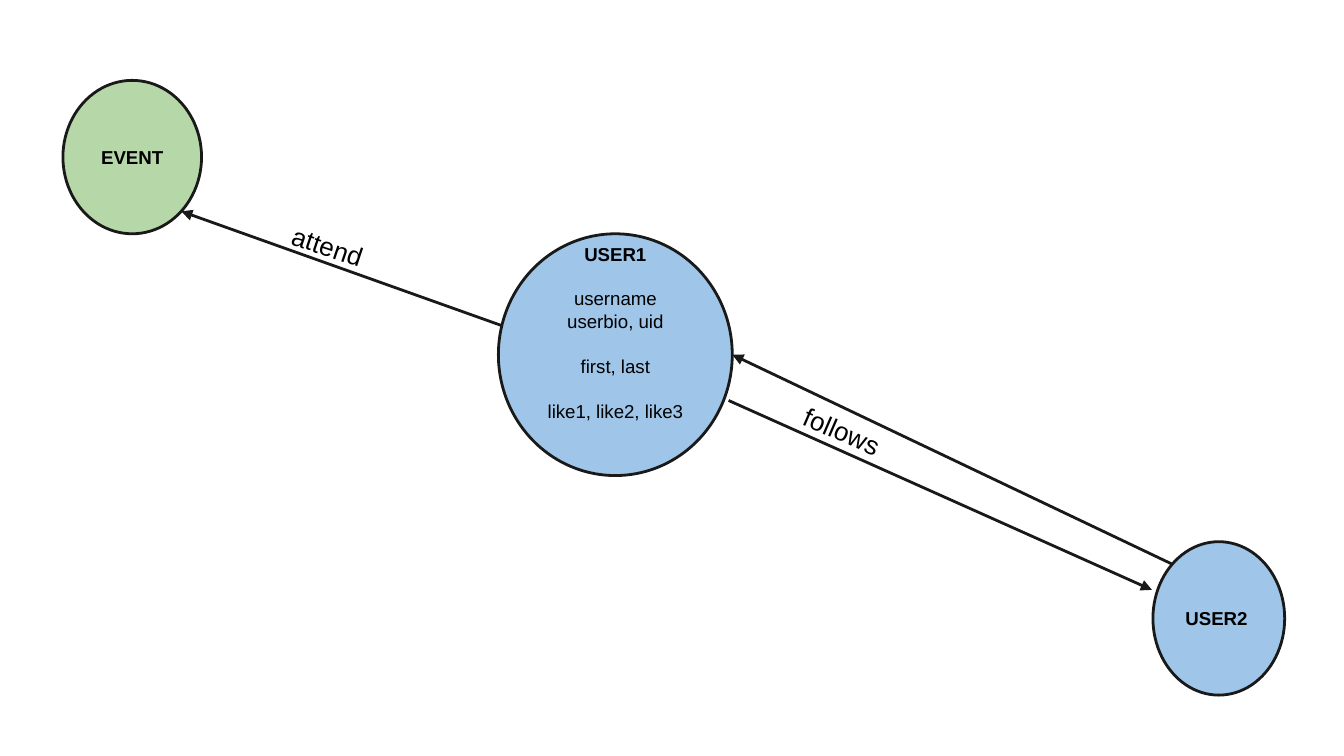
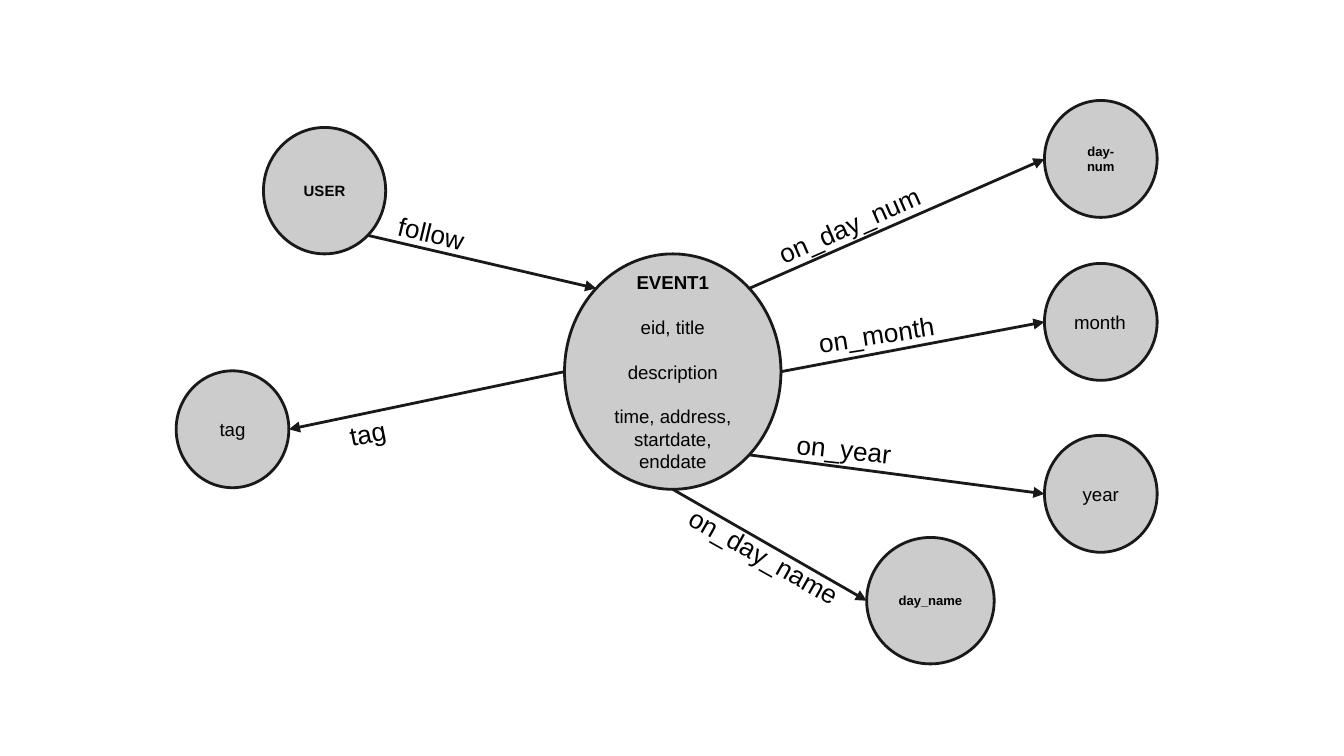
from dataclasses import dataclass
from math import cos, radians, sin

from pptx import Presentation
from pptx.dml.color import RGBColor as Color
from pptx.enum.shapes import MSO_CONNECTOR as Wire, MSO_SHAPE as Form
from pptx.enum.text import MSO_ANCHOR as Anchor, PP_ALIGN as Align
from pptx.oxml.ns import qn
from pptx.oxml.xmlchemy import OxmlElement as Tag
from pptx.util import Cm, Pt


@dataclass(frozen=True)
class Theme:
    font: str = "Arial"
    ink: str = "000000"
    edge: str = "191919"
    blue: str = "9FC5E8"
    green: str = "B6D7A8"
    gray: str = "CCCCCC"
    label: int = 14
    body: int = 10
    small: int = 8
    tiny: int = 7
    gap: int = 12
    stroke: float = 1.5
    inset: float = 0.25


@dataclass(frozen=True)
class Node:
    left: float
    top: float
    width: float
    height: float

    def rim(self, angle):
        turn = radians(angle)
        return (self.left + self.width * (1 + cos(turn)) / 2,
                self.top + self.height * (1 + sin(turn)) / 2)


RIGHT, LOW_RIGHT, BOTTOM, LEFT, TOP_LEFT, TOP_RIGHT = 0, 45, 90, 180, 225, 315


def write(frame, text, *, theme, size, bold=False, align=Align.CENTER,
          anchor=Anchor.MIDDLE, foot=0):
    frame.word_wrap = True
    frame.vertical_anchor = anchor
    frame.margin_left = frame.margin_right = frame.margin_top = Cm(theme.inset)
    frame.margin_bottom = Cm(theme.inset + foot)
    first = True
    for block in text.split("\n\n"):
        for row, line in enumerate(block.split("\n")):
            para = frame.paragraphs[0] if first else frame.add_paragraph()
            para.alignment = align
            if row == 0 and not first:
                para.space_before = Pt(theme.gap)
            run = para.add_run()
            run.text = line
            run.font.name = theme.font
            run.font.size = Pt(size)
            run.font.bold = bold and first
            run.font.color.rgb = Color.from_string(theme.ink)
            first = False


class Board:
    def __init__(self, deck, theme):
        self.deck = deck
        self.theme = theme
        self.slide = None

    def page(self):
        self.slide = self.deck.slides.add_slide(self.deck.slide_layouts[6])

    def trace(self, line):
        line.color.rgb = Color.from_string(self.theme.edge)
        line.width = Pt(self.theme.stroke)

    def node(self, text, box, fill, size=None, **style):
        shape = self.slide.shapes.add_shape(Form.OVAL, *map(Cm, box))
        shape.shadow.inherit = False
        shape.fill.solid()
        shape.fill.fore_color.rgb = Color.from_string(fill)
        self.trace(shape.line)
        write(shape.text_frame, text, theme=self.theme,
              size=size or self.theme.body, **style)
        return Node(*box)

    def arrow(self, start, end):
        wire = self.slide.shapes.add_connector(
            Wire.STRAIGHT, *map(Cm, start + end))
        self.trace(wire.line)
        props = wire.element.spPr
        head = Tag("a:tailEnd")
        head.set("type", "triangle")
        props.find(qn("a:ln")).append(head)
        props.append(Tag("a:effectLst"))

    def label(self, text, left, top, turn, width=4.83, height=0.58):
        box = self.slide.shapes.add_textbox(*map(Cm, (left, top, width, height)))
        box.rotation = turn
        write(box.text_frame, text, theme=self.theme, size=self.theme.label,
              align=Align.LEFT, anchor=Anchor.TOP)


def draw_users(board):
    theme = board.theme
    board.page()
    main = board.node(
        "USER1\n\nusername\nuserbio, uid\n\nfirst, last\n\nlike1, like2, like3",
        (9.42, 4.42, 4.42, 4.57), theme.blue, bold=True, foot=0.85)
    other = board.node("USER2", (21.79, 10.24, 2.49, 2.9), theme.blue,
                       bold=True, align=Align.LEFT)
    event = board.node("EVENT", (1.19, 1.52, 2.62, 2.9), theme.green, bold=True)

    board.arrow((13.77, 7.57), (21.77, 11.15))
    board.arrow(other.rim(TOP_LEFT), main.rim(RIGHT))
    board.arrow((9.47, 6.15), event.rim(LOW_RIGHT))
    board.label("follows", 14.86, 8.41, 23.5, width=5.94, height=0.51)
    board.label("attend", 5.23, 4.78, 18.6, width=6.05)


def draw_event(board):
    theme = board.theme
    gray = theme.gray
    side, wide, high = 19.74, 2.13, 2.21
    board.page()
    event = board.node(
        "EVENT1\n\neid, title\n\ndescription\n\ntime, address, startdate, enddate",
        (10.67, 4.8, 4.09, 4.45), gray, bold=True)
    user = board.node("USER", (4.98, 2.41, 2.31, 2.39), gray, theme.small,
                      bold=True)
    day = board.node("day-num", (side, 1.9, wide, high), gray, theme.tiny,
                     bold=True)
    tag = board.node("tag", (3.33, 7.01, wide, high), gray)
    name = board.node("day_name", (16.38, 10.16, 2.41, 2.39), gray, theme.tiny,
                      bold=True)
    month = board.node("month", (side, 4.98, wide, high), gray, align=Align.LEFT)
    year = board.node("year", (side, 8.23, wide, high), gray)

    for angle, goal, entry in (
        (TOP_RIGHT, day, LEFT),
        (RIGHT, month, LEFT),
        (LOW_RIGHT, year, LEFT),
        (BOTTOM, name, LEFT),
        (LEFT, tag, RIGHT),
    ):
        board.arrow(event.rim(angle), goal.rim(entry))
    board.arrow(user.rim(LOW_RIGHT), event.rim(TOP_LEFT))

    for text, left, top, turn in (
        ("on_month", 15.16, 5.61, 351.2),
        ("follow", 7.29, 4.22, 13.5),
        ("on_year", 14.83, 8.08, 6.2),
        ("on_day_name", 12.67, 10.29, 29.4),
        ("tag", 6.27, 7.29, 348.8),
        ("on_day_num", 14.2, 3.43, 336.4),
    ):
        board.label(text, left, top, turn)


def main():
    deck = Presentation()
    deck.slide_width, deck.slide_height = Cm(25.4), Cm(14.29)
    board = Board(deck, Theme())
    draw_users(board)
    draw_event(board)
    deck.save("out.pptx")


if __name__ == "__main__":
    main()
